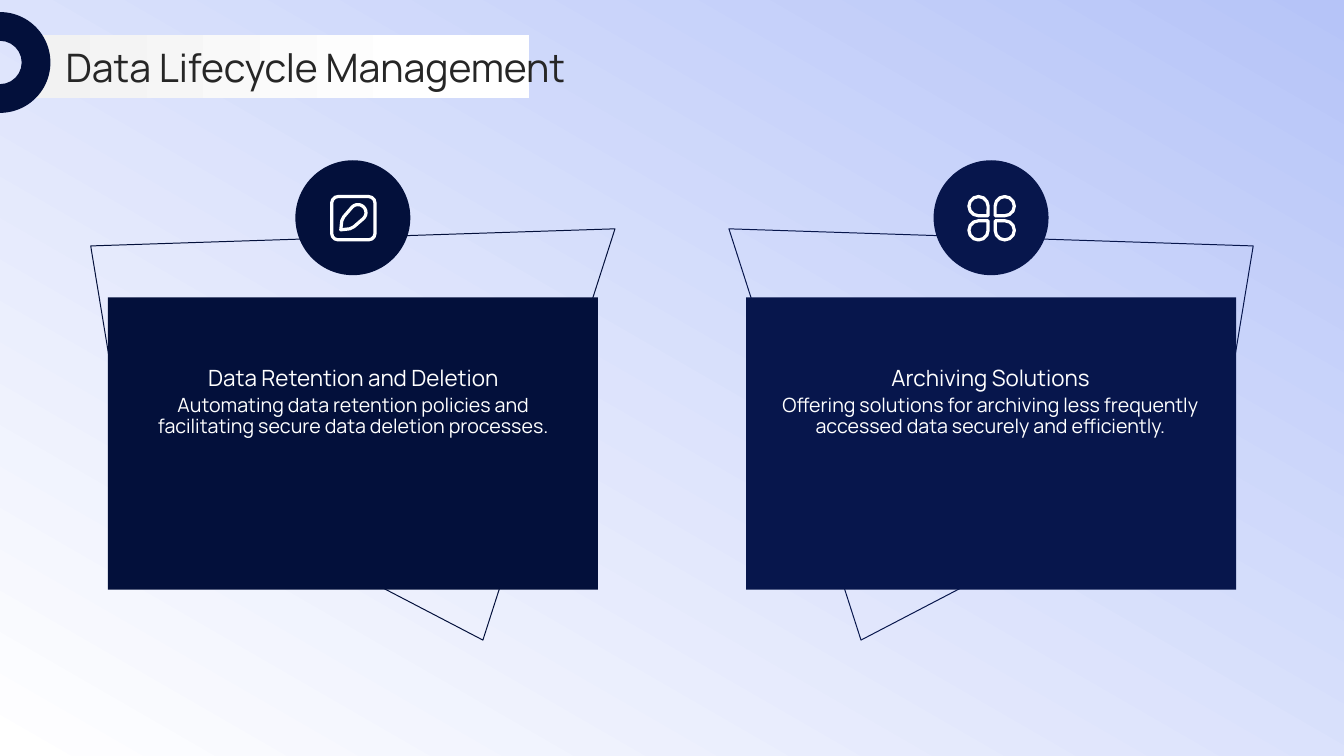
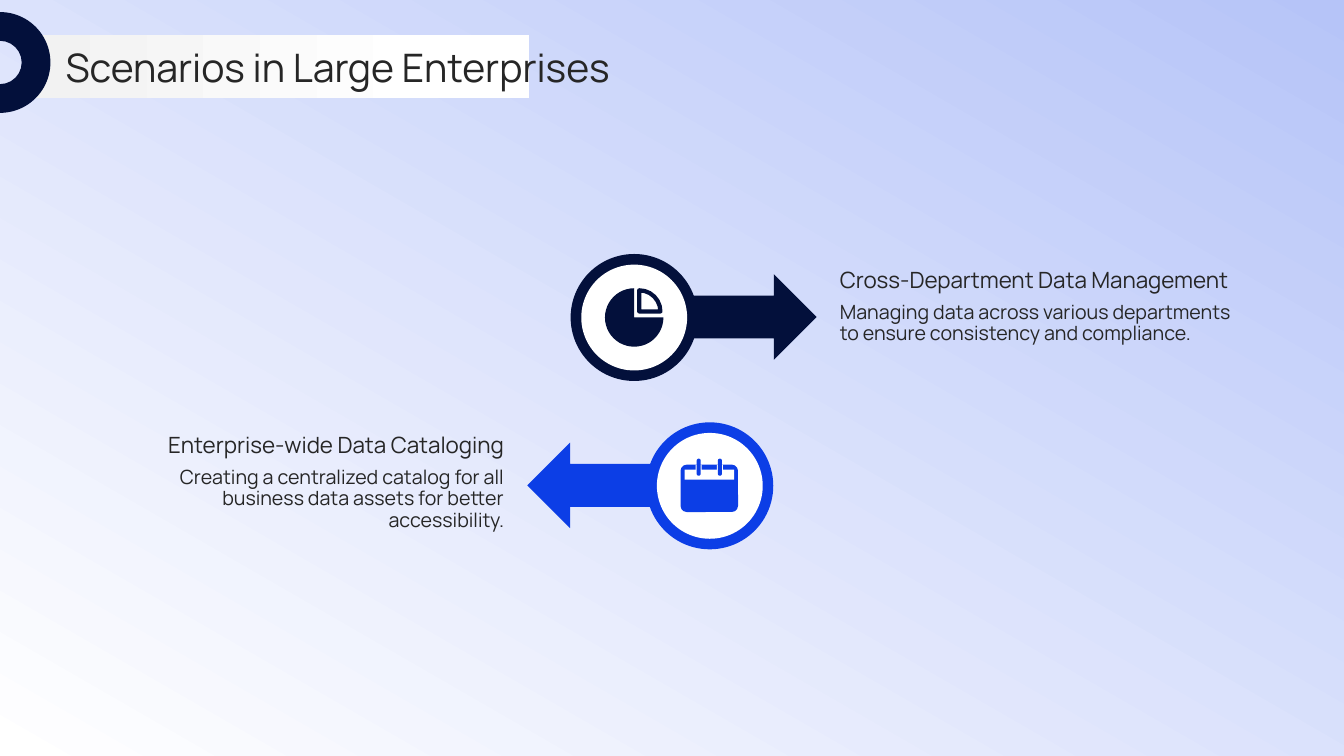
"""Build two data management slides with a shared title band and style."""
import math

from pptx import Presentation
from pptx.dml.color import RGBColor
from pptx.enum.shapes import MSO_SHAPE
from pptx.enum.text import MSO_ANCHOR, PP_ALIGN
from pptx.util import Inches, Pt

RECTANGLE = MSO_SHAPE.RECTANGLE
ROUNDED = MSO_SHAPE.ROUNDED_RECTANGLE
OVAL = MSO_SHAPE.OVAL
PIE = MSO_SHAPE.PIE
TEAR = MSO_SHAPE.TEAR
BLOCK_ARC = MSO_SHAPE.BLOCK_ARC
RIGHT_ARROW = MSO_SHAPE.RIGHT_ARROW
LEFT_ARROW = MSO_SHAPE.LEFT_ARROW
LEFT, CENTER, RIGHT = PP_ALIGN.LEFT, PP_ALIGN.CENTER, PP_ALIGN.RIGHT
TOP, MIDDLE, BOTTOM = MSO_ANCHOR.TOP, MSO_ANCHOR.MIDDLE, MSO_ANCHOR.BOTTOM

WIDTH, HEIGHT = 13.33, 7.5
FONT = "Manrope"
COLORS = {
    "navy": "03103B",
    "indigo": "07164C",
    "blue": "0C3EE6",
    "sky": "B6C4F8",
    "mist": "F2F2F2",
    "white": "FFFFFF",
    "text": "262626",
}


def color(name):
    return RGBColor.from_string(COLORS[name])


def mirror(left, width=0):
    return WIDTH - left - width


class Deck:
    """Holds the shared style and the slide being drawn."""

    def __init__(self):
        self.presentation = Presentation()
        self.presentation.slide_width = Inches(WIDTH)
        self.presentation.slide_height = Inches(HEIGHT)
        self.slide = None

    def gradient(self, fill, start, end, angle, end_position=1.0):
        fill.gradient()
        fill.gradient_angle = angle
        for stop, name, position in zip(fill.gradient_stops, (start, end), (0, end_position)):
            stop.color.rgb = color(name)
            stop.position = position

    def style(self, shape, fill=None, line=None, line_width=1.0):
        shape.shadow.inherit = False
        if fill:
            shape.fill.solid()
            shape.fill.fore_color.rgb = color(fill)
        else:
            shape.fill.background()
        if line:
            shape.line.color.rgb = color(line)
            shape.line.width = Pt(line_width)
        else:
            shape.line.fill.background()
        return shape

    def shape(self, kind, left, top, width, height, adjustments=(), rotation=0, **style):
        shape = self.slide.shapes.add_shape(
            kind, Inches(left), Inches(top), Inches(width), Inches(height))
        for index, value in enumerate(adjustments):
            shape.adjustments[index] = value
        shape.rotation = rotation
        return self.style(shape, **style)

    def disc(self, center_x, center_y, diameter, fill):
        self.shape(OVAL, center_x - diameter / 2, center_y - diameter / 2,
                   diameter, diameter, fill=fill)

    def polygon(self, points, **style):
        corners = [(Inches(x), Inches(y)) for x, y in points]
        builder = self.slide.shapes.build_freeform(*corners[0], scale=1.0)
        builder.add_line_segments(corners[1:], close=True)
        return self.style(builder.convert_to_shape(), **style)

    def text(self, words, left, top, width, height, size, name="text", align=LEFT, anchor=TOP):
        box = self.slide.shapes.add_textbox(
            Inches(left), Inches(top), Inches(width), Inches(height))
        frame = box.text_frame
        frame.word_wrap = True
        frame.vertical_anchor = anchor
        frame.margin_left = frame.margin_right = frame.margin_top = frame.margin_bottom = 0
        frame.text = words
        paragraph = frame.paragraphs[0]
        paragraph.alignment = align
        paragraph.line_spacing = 0.9
        font = paragraph.runs[0].font
        font.name, font.size = FONT, Pt(size)
        font.color.rgb = color(name)

    def start_slide(self, title):
        self.slide = self.presentation.slides.add_slide(self.presentation.slide_layouts[6])
        self.gradient(self.slide.background.fill, "sky", "white", 240)
        band = self.shape(RECTANGLE, 0.33, 0.35, 4.92, 0.62)
        self.gradient(band.fill, "mist", "white", 0, 0.8)
        self.text(title, 0.65, 0.44, 11.88, 0.51, 28, anchor=MIDDLE)
        self.shape(BLOCK_ARC, -0.5, 0.12, 1, 1, (108, 0, 0.285), 90, fill="navy")

    def card(self, heading, body, fill, mirrored):
        outline = [(4.79, 6.35), (1.24, 4.5), (0.9, 2.44), (6.1, 2.27)]
        panel_left, text_left, center = 1.07, 1.38, 3.5
        if mirrored:
            outline = [(mirror(x), y) for x, y in outline]
            panel_left, text_left = mirror(panel_left, 4.86), mirror(text_left, 4.25)
            center = mirror(center)
        self.polygon(outline, line=fill, line_width=0.7)
        self.shape(RECTANGLE, panel_left, 2.95, 4.86, 2.9, fill=fill)
        self.disc(center, 2.16, 1.14, fill)
        self.text(heading, text_left, 3.07, 4.25, 0.81, 16, "white", CENTER, BOTTOM)
        self.text(body, text_left, 3.92, 4.25, 1.82, 14, "white", CENTER)
        return center

    def scenario(self, heading, body, fill, center_y, text_top, mirrored):
        arrow, arrow_left, center, text_left, align = RIGHT_ARROW, 6.55, 6.29, 8.33, LEFT
        if mirrored:
            arrow, align = LEFT_ARROW, RIGHT
            arrow_left, center = mirror(arrow_left, 1.55), mirror(center)
            text_left = mirror(text_left, 3.94)
        self.text(heading, text_left, text_top, 3.94, 0.68, 16, align=align, anchor=BOTTOM)
        self.text(body, text_left, text_top + 0.77, 3.94, 1.43, 14, align=align)
        self.shape(arrow, arrow_left, center_y - 0.43, 1.55, 0.85, fill=fill)
        self.disc(center, center_y, 1.26, fill)
        self.disc(center, center_y, 1.05, "white")
        return center

    def edit_icon(self, x, y):
        stroke = {"line": "white", "line_width": 2.3}
        self.shape(ROUNDED, x - 0.21, y - 0.21, 0.43, 0.43, (0.15,), **stroke)
        angles = [math.radians(degrees) for degrees in range(-135, 46, 15)]
        cap = [(x + 0.05 + 0.08 * math.cos(angle), y - 0.05 + 0.08 * math.sin(angle))
               for angle in angles]
        tail = [(x + 0.01, y + 0.09), (x - 0.03, y + 0.11), (x - 0.12, y + 0.12),
                (x - 0.11, y + 0.03), (x - 0.09, y - 0.01)]
        self.polygon(cap + tail, **stroke)

    def petals_icon(self, x, y):
        for side_x, side_y, rotation in ((-1, -1, 90), (1, -1, 180), (1, 1, 270), (-1, 1, 0)):
            self.shape(TEAR, x + side_x * 0.13 - 0.09, y + side_y * 0.12 - 0.09, 0.19, 0.19,
                       (1.0,), rotation, line="white", line_width=2.3)

    def pie_icon(self, x, y, fill):
        self.shape(PIE, x - 0.29, y - 0.29, 0.58, 0.58, (0, 162), fill=fill)
        self.shape(PIE, x - 0.16, y - 0.27, 0.42, 0.42, (162, 0), line=fill, line_width=3)

    def calendar_icon(self, x, y, fill):
        self.shape(ROUNDED, x - 0.29, y - 0.21, 0.57, 0.47, (0.13,), fill=fill)
        self.shape(RECTANGLE, x - 0.25, y - 0.16, 0.49, 0.1, fill="white")
        for pin in (x - 0.11, x + 0.1):
            self.shape(RECTANGLE, pin - 0.03, y - 0.21, 0.06, 0.06, fill="white")
            self.shape(ROUNDED, pin - 0.02, y - 0.27, 0.04, 0.17, (0.5,), fill=fill)


def main():
    deck = Deck()

    deck.start_slide("Data Lifecycle Management")
    center = deck.card(
        "Data Retention and Deletion",
        "Automating data retention policies and facilitating secure data deletion processes.",
        "navy", mirrored=False)
    deck.edit_icon(center, 2.16)
    center = deck.card(
        "Archiving Solutions",
        "Offering solutions for archiving less frequently accessed data securely and efficiently.",
        "indigo", mirrored=True)
    deck.petals_icon(center, 2.16)

    deck.start_slide("Scenarios in Large Enterprises")
    center = deck.scenario(
        "Cross-Department Data Management",
        "Managing data across various departments to ensure consistency and compliance.",
        "navy", 3.15, 2.23, mirrored=False)
    deck.pie_icon(center, 3.15, "navy")
    center = deck.scenario(
        "Enterprise-wide Data Cataloging",
        "Creating a centralized catalog for all business data assets for better accessibility.",
        "blue", 4.82, 3.87, mirrored=True)
    deck.calendar_icon(center, 4.82, "blue")

    deck.presentation.save("out.pptx")


if __name__ == "__main__":
    main()
